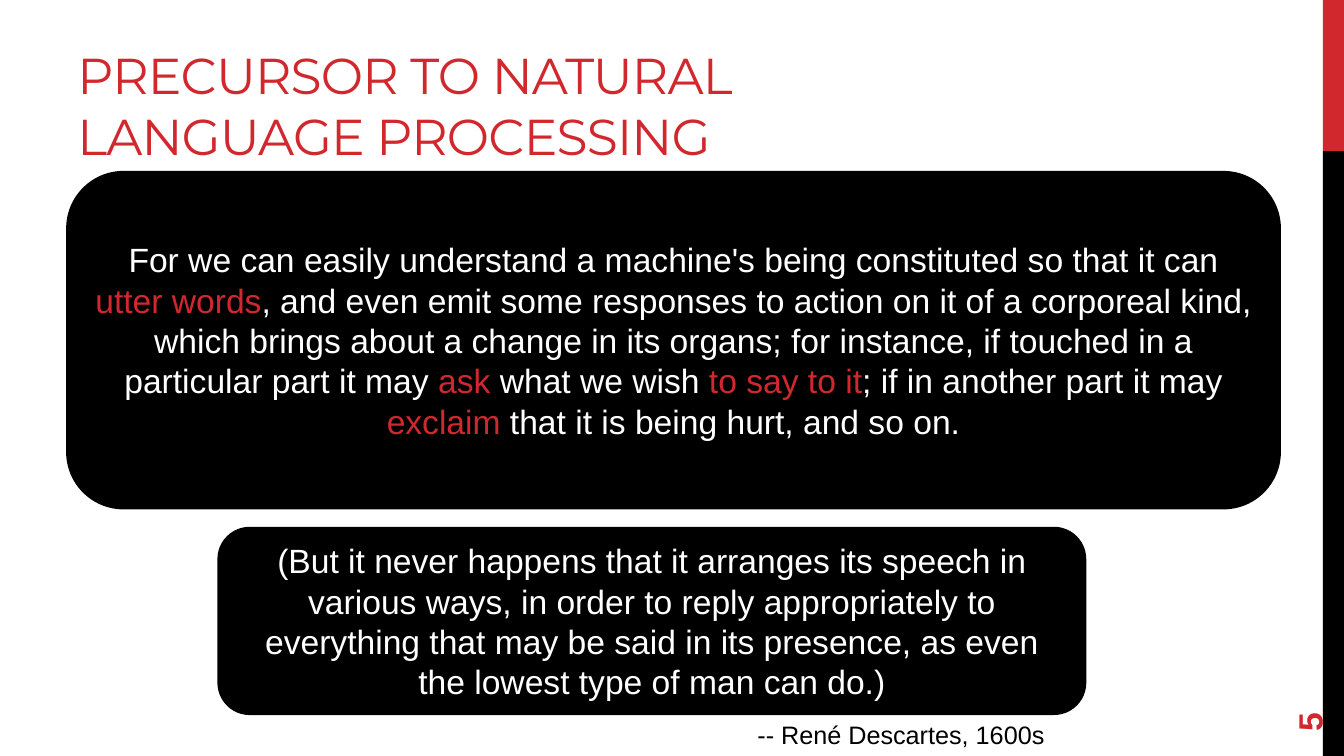
from pptx import Presentation
from pptx.dml.color import RGBColor
from pptx.enum.shapes import MSO_SHAPE
from pptx.enum.text import MSO_ANCHOR, PP_ALIGN
from pptx.util import Inches, Pt

RECTANGLE, ROUNDED = MSO_SHAPE.RECTANGLE, MSO_SHAPE.ROUNDED_RECTANGLE
TOP, MIDDLE, BOTTOM = MSO_ANCHOR.TOP, MSO_ANCHOR.MIDDLE, MSO_ANCHOR.BOTTOM
LEFT, CENTER, RIGHT = PP_ALIGN.LEFT, PP_ALIGN.CENTER, PP_ALIGN.RIGHT

COLORS = {"red": "D1282E", "black": "000000", "white": "FFFFFF"}

deck = Presentation()
deck.slide_width, deck.slide_height = Inches(13.33), Inches(7.5)
page = deck.slides.add_slide(deck.slide_layouts[6])


def add_block(preset, place, color):
    block = page.shapes.add_shape(preset, *map(Inches, place))
    block.shadow.inherit = False
    block.fill.solid()
    block.fill.fore_color.rgb = RGBColor.from_string(COLORS[color])
    block.line.fill.background()
    return block


def write(box, spans, size, anchor, align, font="Arial"):
    """Fill a box with one paragraph of (text, color name) spans."""
    frame = box.text_frame
    frame.word_wrap = True
    frame.vertical_anchor = anchor
    para = frame.paragraphs[0]
    para.alignment = align
    for text, color in spans:
        span = para.add_run()
        span.text = text
        span.font.name = font
        span.font.size = Pt(size)
        span.font.color.rgb = RGBColor.from_string(COLORS[color])
    return frame


# Side bar
add_block(RECTANGLE, (13.12, 0, 0.21, 1.5), "red")
add_block(RECTANGLE, (13.12, 1.5, 0.21, 6), "black")

# Title
title = page.shapes.add_textbox(Inches(0.67), Inches(0.17), Inches(8.44), Inches(1.5))
title_frame = write(title, [("PRECURSOR TO NATURAL LANGUAGE PROCESSING", "red")],
                    36, BOTTOM, LEFT, "Montserrat")
title_frame.margin_bottom = Inches(0.03)
title_frame.paragraphs[0].runs[0].font._element.set("spc", "-60")

# Quotation
quotes = [
    ((0.67, 1.71, 12.02, 3.33), [
        ("For we can easily understand a machine's being constituted so that it can ", "white"),
        ("utter words", "red"),
        (", and even emit some responses to action on it of a corporeal kind, which brings "
         "about a change in its organs; for instance, if touched in a particular part it may ",
         "white"),
        ("ask", "red"),
        (" what we wish ", "white"),
        ("to say to it", "red"),
        ("; if in another part it may ", "white"),
        ("exclaim", "red"),
        (" that it is being hurt, and so on.", "white"),
    ]),
    ((2.17, 5.24, 8.59, 1.84), [
        ("(But it never happens that it arranges its speech in various ways, in order to reply "
         "appropriately to everything that may be said in its presence, as even the lowest "
         "type of man can do.)", "white"),
    ]),
]
for place, spans in quotes:
    quote = add_block(ROUNDED, place, "black")
    quote.line.color.rgb = RGBColor.from_string(COLORS["black"])
    quote.line.width = Pt(2)
    write(quote, spans, 24, MIDDLE, CENTER)

# Attribution
source = page.shapes.add_textbox(Inches(7.12), Inches(7.09), Inches(3.48), Inches(0.4))
source_frame = write(source, [("-- René Descartes, 1600s", "black")], 18, TOP, RIGHT)
source_frame.margin_right = Inches(0.24)

# Page number
number = page.shapes.add_textbox(Inches(12.24), Inches(6.37), Inches(1.44), Inches(0.53))
number.rotation = 270
number_frame = write(number, [("5", "red")], 24, MIDDLE, LEFT)
number_frame.margin_bottom = 0
number_frame.paragraphs[0].runs[0].font.bold = True

deck.save("out.pptx")
